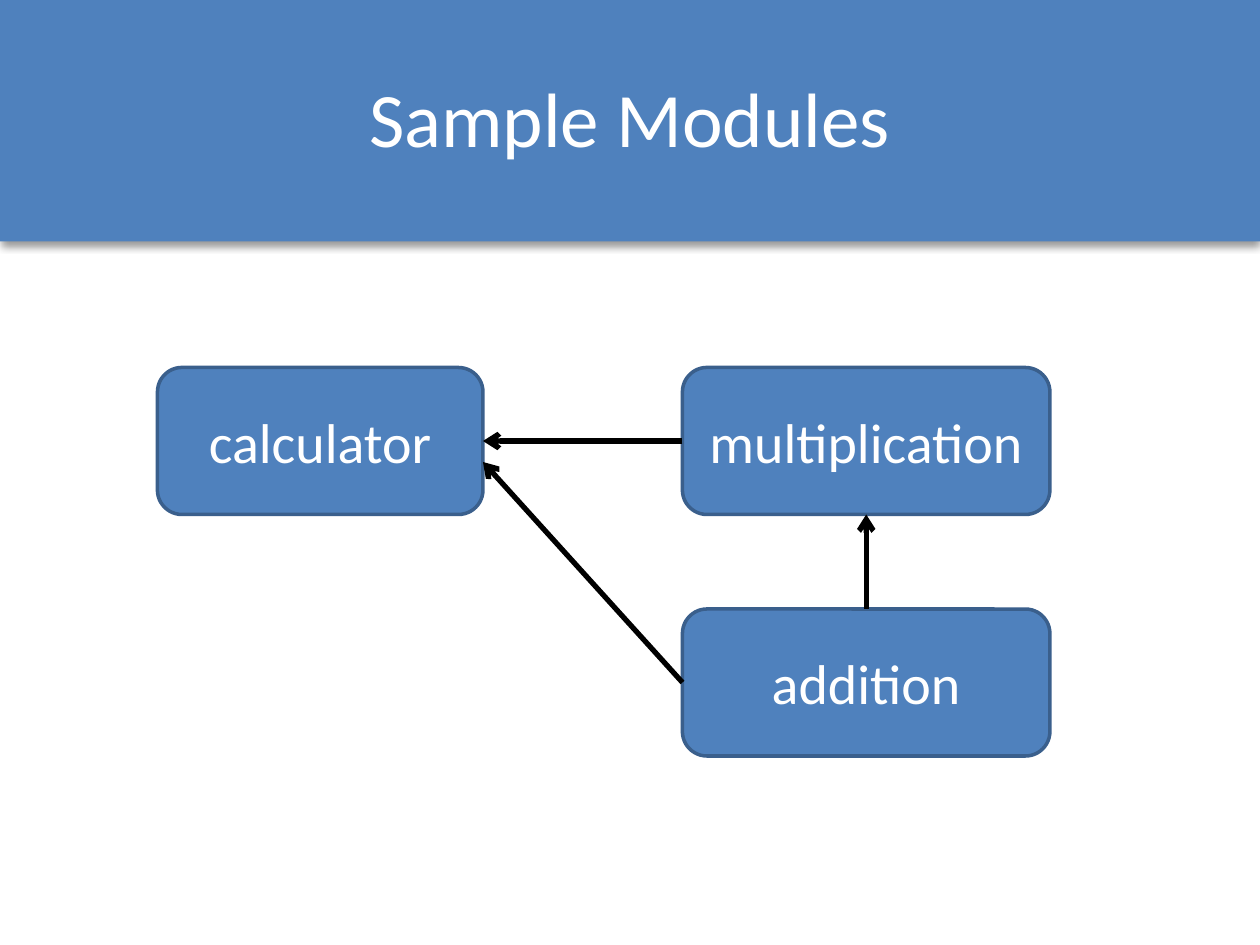
from pptx import Presentation
from pptx.dml.color import RGBColor
from pptx.enum.shapes import MSO_CONNECTOR, MSO_SHAPE
from pptx.enum.text import MSO_ANCHOR, PP_ALIGN
from pptx.oxml import parse_xml
from pptx.oxml.ns import nsdecls
from pptx.util import Inches, Pt

BLUE = RGBColor(0x4F, 0x81, 0xBD)
EDGE_BLUE = RGBColor(0x3A, 0x5F, 0x8C)
WHITE = RGBColor(0xFF, 0xFF, 0xFF)
BLACK = RGBColor(0x00, 0x00, 0x00)
FONT = "Calibri"

COLUMNS, ROWS = 120, 90
MODULE_HEIGHT = 14
LEFT_COLUMN, LEFT_WIDTH = 15, 31
RIGHT_COLUMN, RIGHT_WIDTH = 65, 35
UPPER_ROW, LOWER_ROW = 35, 58


def grid(*cells):
    """Turn grid cells, twelve to the inch, into lengths."""
    return [Inches(cell / 12) for cell in cells]


def write_centred(shape, text, size):
    frame = shape.text_frame
    frame.word_wrap = True
    frame.vertical_anchor = MSO_ANCHOR.MIDDLE
    para = frame.paragraphs[0]
    para.alignment = PP_ALIGN.CENTER
    span = para.add_run()
    span.text = text
    span.font.name = FONT
    span.font.size = Pt(size)
    span.font.color.rgb = WHITE


def add_filled_shape(page, kind, *cells):
    shape = page.shapes.add_shape(kind, *grid(*cells))
    shape.shadow.inherit = False
    shape.fill.solid()
    shape.fill.fore_color.rgb = BLUE
    return shape


def drop_shadow_below(shape):
    effects = shape.element.spPr.find("{*}effectLst")
    effects.append(parse_xml(
        f'<a:outerShdw {nsdecls("a")} blurRad="{Pt(4)}" dist="{Pt(3)}" '
        f'dir="5400000" algn="t" rotWithShape="0"><a:srgbClr val="{BLACK}">'
        '<a:alpha val="40000"/></a:srgbClr></a:outerShdw>'))


def add_header(page, title):
    band = add_filled_shape(page, MSO_SHAPE.RECTANGLE, 0, 0, COLUMNS, 23)
    band.line.fill.background()
    drop_shadow_below(band)
    box = page.shapes.add_textbox(*grid(6, 3.6, COLUMNS - 12, 15))
    write_centred(box, title, 44)


def add_module(page, name, column, row, width):
    box = add_filled_shape(page, MSO_SHAPE.ROUNDED_RECTANGLE,
                           column, row, width, MODULE_HEIGHT)
    box.line.color.rgb = EDGE_BLUE
    box.line.width = Pt(2)
    write_centred(box, name, 32)


def add_arrow(page, start, end):
    arrow = page.shapes.add_connector(MSO_CONNECTOR.STRAIGHT, *grid(*start, *end))
    arrow.line.color.rgb = BLACK
    arrow.line.width = Pt(3)
    arrow.line._get_or_add_ln().append(
        parse_xml(f'<a:tailEnd {nsdecls("a")} type="arrow"/>'))
    arrow._element.spPr.append(parse_xml(f'<a:effectLst {nsdecls("a")}/>'))


def main():
    deck = Presentation()
    deck.slide_width, deck.slide_height = grid(COLUMNS, ROWS)
    page = deck.slides.add_slide(deck.slide_layouts[6])

    add_header(page, "Sample Modules")
    add_module(page, "calculator", LEFT_COLUMN, UPPER_ROW, LEFT_WIDTH)
    add_module(page, "multiplication", RIGHT_COLUMN, UPPER_ROW, RIGHT_WIDTH)
    add_module(page, "addition", RIGHT_COLUMN, LOWER_ROW, RIGHT_WIDTH)

    calculator_edge = LEFT_COLUMN + LEFT_WIDTH
    right_centre = RIGHT_COLUMN + RIGHT_WIDTH / 2
    upper_middle = UPPER_ROW + MODULE_HEIGHT / 2
    lower_middle = LOWER_ROW + MODULE_HEIGHT / 2
    add_arrow(page, (RIGHT_COLUMN, lower_middle), (calculator_edge, upper_middle + 2))
    add_arrow(page, (right_centre, LOWER_ROW), (right_centre, UPPER_ROW + MODULE_HEIGHT))
    add_arrow(page, (RIGHT_COLUMN, upper_middle), (calculator_edge, upper_middle))

    deck.save("out.pptx")


if __name__ == "__main__":
    main()
